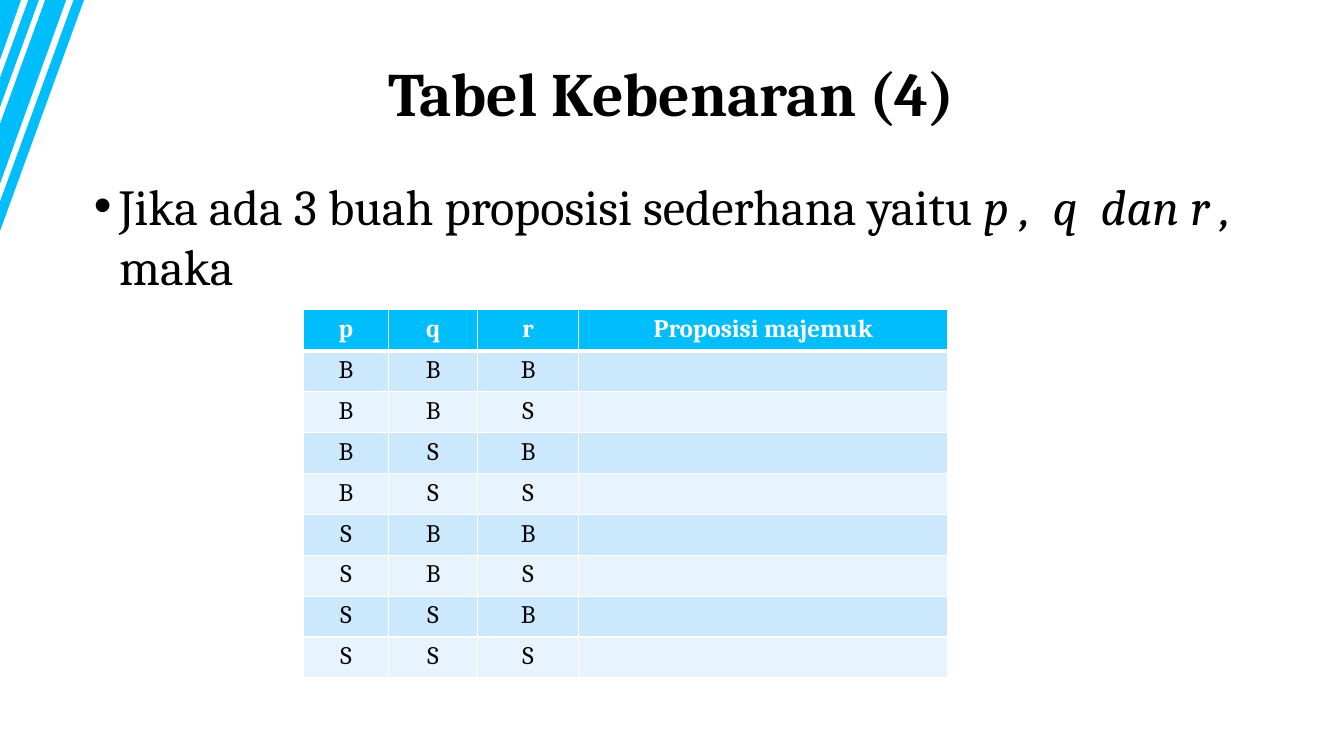
"""Build the truth table slide for three propositions."""
from dataclasses import dataclass
from itertools import product

from lxml import etree
from pptx import Presentation
from pptx.dml.color import RGBColor
from pptx.enum.text import MSO_ANCHOR, PP_ALIGN
from pptx.oxml.ns import qn
from pptx.util import Emu, Pt

CENTER = PP_ALIGN.CENTER
MIDDLE = MSO_ANCHOR.MIDDLE
EMU_PER_PX = 9525
BLANK_LAYOUT = 6

STRIPES = [
    [(80, 0), (0, 220), (0, 192), (70, 0)],
    [(37, 0), (0, 102), (0, 74), (27, 0)],
    [(63, 0), (0, 175), (0, 118), (43, 0)],
    [(20, 0), (0, 57), (0, 0)],
]
COLUMN_WIDTHS = [81, 85, 96, 352]
ROW_HEIGHT = 39
HEADINGS = ["p", "q", "r", "Proposisi majemuk"]


@dataclass(frozen=True)
class Theme:
    font: str = "Cambria"
    accent: str = "00BDFB"
    text: str = "000000"
    white: str = "FFFFFF"
    bands: tuple = ("CCE8FD", "E7F4FE")
    title_size: int = 44
    body_size: int = 36
    table_size: int = 18


THEME = Theme()


def px(length):
    return Emu(length * EMU_PER_PX)


def color(value):
    return RGBColor.from_string(value)


def add_run(paragraph, text, size, fill=THEME.text, bold=False, italic=False):
    run = paragraph.add_run()
    run.text = text
    font = run.font
    font.name, font.size = THEME.font, Pt(size)
    font.bold, font.italic = bold, italic
    font.color.rgb = color(fill)


def add_text_box(slide, left, top, width, height):
    box = slide.shapes.add_textbox(px(left), px(top), px(width), px(height))
    box.text_frame.word_wrap = True
    return box.text_frame


def add_stripes(slide):
    builder = slide.shapes.build_freeform(*STRIPES[0][0], scale=EMU_PER_PX)
    for index, (start, *points) in enumerate(STRIPES):
        if index:
            builder.move_to(*start)
        builder.add_line_segments(points, close=True)
    shape = builder.convert_to_shape()
    shape.shadow.inherit = False
    shape.fill.solid()
    shape.fill.fore_color.rgb = color(THEME.accent)
    shape.line.fill.background()


def add_title(slide, text):
    frame = add_text_box(slide, 80, 38, 1119, 108)
    frame.vertical_anchor = MIDDLE
    paragraph = frame.paragraphs[0]
    paragraph.alignment = CENTER
    paragraph.line_spacing = 0.9
    add_run(paragraph, text, THEME.title_size, bold=True)


def add_bullet(slide, runs):
    paragraph = add_text_box(slide, 80, 162, 1119, 531).paragraphs[0]
    properties = paragraph._p.get_or_add_pPr()
    properties.set("marL", str(px(24)))
    properties.set("indent", str(px(-24)))
    etree.SubElement(properties, qn("a:buFont"), typeface="Arial")
    etree.SubElement(properties, qn("a:buChar"), char="•")
    for text, italic in runs:
        add_run(paragraph, text, THEME.body_size, italic=italic)


def set_borders(cell, top, bottom):
    properties = cell._tc.get_or_add_tcPr()
    widths = {"a:lnL": 1, "a:lnR": 1, "a:lnT": top, "a:lnB": bottom}
    for index, (tag, width) in enumerate(widths.items()):
        line = etree.Element(qn(tag), w=str(Pt(width)))
        fill = etree.SubElement(line, qn("a:solidFill"))
        etree.SubElement(fill, qn("a:srgbClr"), val=THEME.white)
        properties.insert(index, line)


def fill_cell(cell, text, row):
    header = row == 0
    cell.fill.solid()
    cell.fill.fore_color.rgb = color(
        THEME.accent if header else THEME.bands[(row - 1) % 2])
    set_borders(cell, 3 if row == 1 else 1, 3 if header else 1)
    paragraph = cell.text_frame.paragraphs[0]
    paragraph.alignment = CENTER
    if text:
        add_run(paragraph, text, THEME.table_size,
                THEME.white if header else THEME.text, bold=header)


def add_truth_table(slide):
    rows = [HEADINGS] + [[*values, ""] for values in product("BS", repeat=3)]
    table = slide.shapes.add_table(
        len(rows), len(HEADINGS), px(289), px(295),
        px(sum(COLUMN_WIDTHS)), px(ROW_HEIGHT * len(rows))).table
    for column, width in zip(table.columns, COLUMN_WIDTHS):
        column.width = px(width)
    for row, values in enumerate(rows):
        for column, text in enumerate(values):
            fill_cell(table.cell(row, column), text, row)


def main():
    presentation = Presentation()
    presentation.slide_width, presentation.slide_height = px(1280), px(720)
    slide = presentation.slides.add_slide(
        presentation.slide_layouts[BLANK_LAYOUT])
    add_stripes(slide)
    add_bullet(slide, [
        ("Jika ada 3 buah proposisi sederhana yaitu ", False),
        ("p ,  q  dan r , ", True),
        ("maka", False),
    ])
    add_title(slide, "Tabel Kebenaran (4)")
    add_truth_table(slide)
    presentation.save("out.pptx")


if __name__ == "__main__":
    main()
